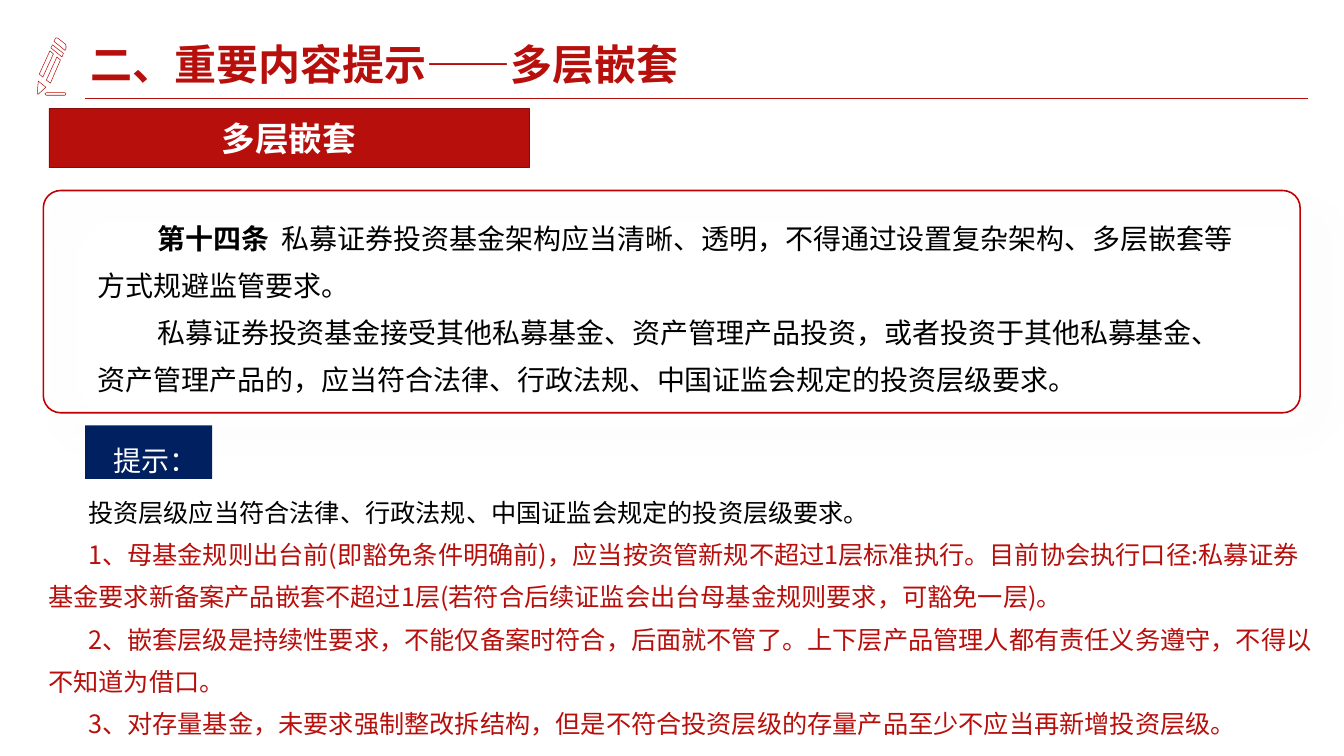
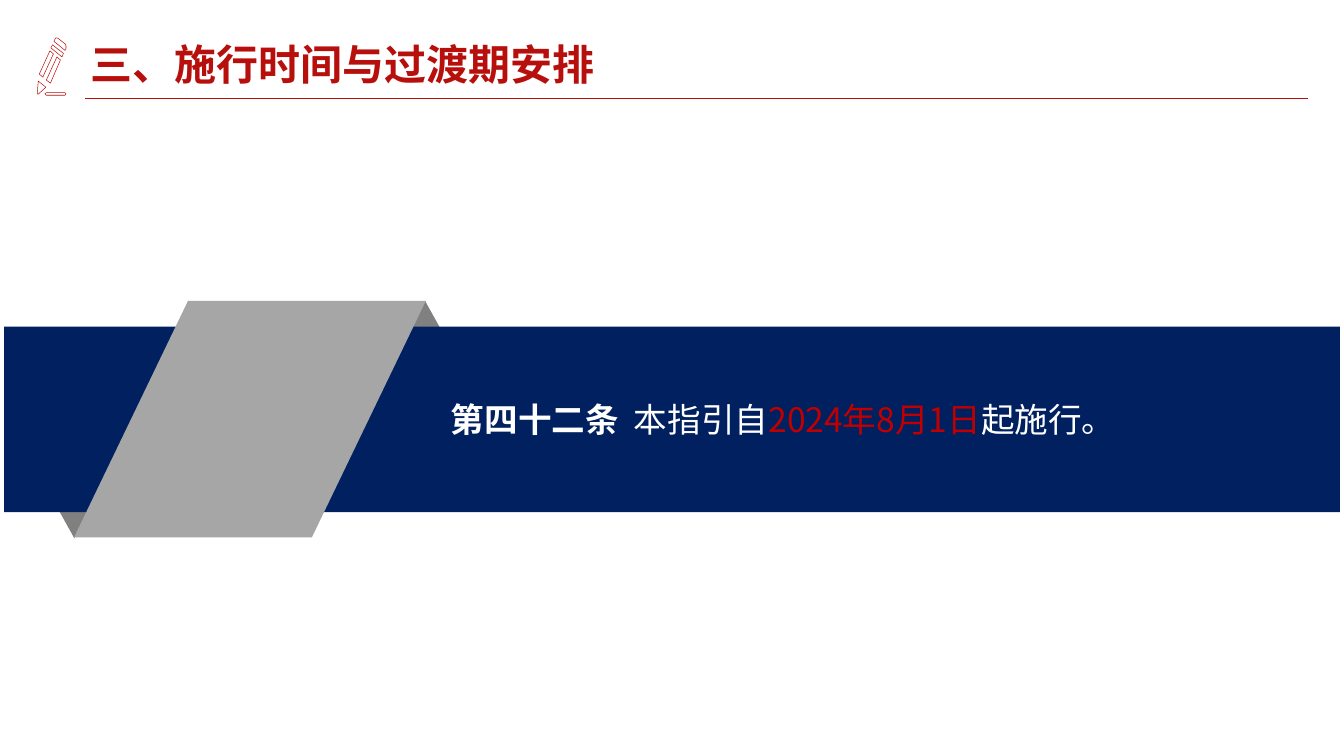
"""Build the two slides on fund nesting and the effective date."""
import dataclasses

import lxml.etree
import pptx
import pptx.dml.color
import pptx.enum.shapes
import pptx.enum.text
import pptx.oxml.ns
import pptx.util

SHAPE = pptx.enum.shapes.MSO_SHAPE
ALIGN = pptx.enum.text.PP_ALIGN
ANCHOR = pptx.enum.text.MSO_ANCHOR
AUTOFIT = pptx.enum.text.MSO_AUTO_SIZE

PENCIL = [
    [(92, 184), (129, 184), (131, 186), (129, 189), (92, 189), (89, 186)],
    [(92, 159), (113, 113), (120, 119), (100, 165)],
    [(78, 147), (99, 101), (106, 107), (85, 153)],
    [(74, 184), (76, 161), (91, 173), (77, 186), (75, 187)],
    [(104, 89), (101, 95), (123, 113), (126, 106)],
    [(109, 78), (111, 75), (115, 76), (129, 87), (131, 91), (131, 96), (129, 100), (107, 82)],
]


@dataclasses.dataclass(frozen=True)
class Theme:
    """Colours, fonts and type sizes shared by the slides."""
    red: str = "B70F0C"
    dark_red: str = "870B09"
    accent: str = "C00000"
    navy: str = "002060"
    grey: str = "A6A6A6"
    fold: str = "808080"
    white: str = "FFFFFF"
    black: str = "000000"
    cjk: str = "Noto Sans CJK SC"
    latin: str = "Arial"
    display: str = "Montserrat"
    title: int = 60
    heading: int = 48
    article: int = 40
    note: int = 36


@dataclasses.dataclass(frozen=True)
class Run:
    """A stretch of text in one style."""
    text: str
    size: int
    color: str
    bold: bool = False
    font: str = Theme.cjk


class Deck:
    """Holds the theme and the current slide and draws each kind of element."""
    PX = 9144

    def __init__(self, theme):
        self.theme = theme
        self.deck = pptx.Presentation()
        self.deck.slide_width, self.deck.slide_height = self.emu(2667, 1500)
        self.shapes = None

    def emu(self, *lengths):
        """Turn px into EMU."""
        return [pptx.util.Emu(length * self.PX) for length in lengths]

    def rgb(self, color):
        """Turn a hex string into a colour."""
        return pptx.dml.color.RGBColor.from_string(color)

    def start_slide(self, *title_runs):
        """Add a slide with the title, the pencil and the rule."""
        slide = self.deck.slides.add_slide(self.deck.slide_layouts[5])
        self.shapes = slide.shapes
        self.pencil()
        self.rule((2596, 195), (169, 195))
        title = self.shapes.title
        title.left, title.top, title.width, title.height = self.emu(169, 70, 2300, 124)
        self.fill_text(title, [title_runs], spacing=0.9, anchor=ANCHOR.MIDDLE)

    def start_group(self):
        """Send the following elements into a new group."""
        self.shapes = self.shapes.add_group_shape().shapes

    def paint(self, shape, fill=None, line=None, width=1):
        """Set fill and line and drop the theme shadow."""
        shape.shadow.inherit = False
        if fill:
            shape.fill.solid()
            shape.fill.fore_color.rgb = self.rgb(fill)
        else:
            shape.fill.background()
        if line:
            shape.line.color.rgb = self.rgb(line)
            shape.line.width = pptx.util.Pt(width)
        else:
            shape.line.fill.background()

    def pencil(self):
        """Draw the outlined pencil beside the title."""
        builder = self.shapes.build_freeform(*PENCIL[0][0], scale=float(self.PX))
        for number, outline in enumerate(PENCIL):
            if number:
                builder.move_to(*outline[0])
            builder.add_line_segments(outline[1:], close=True)
        self.paint(builder.convert_to_shape(), self.theme.white, self.theme.red, 0.75)

    def rule(self, start, end):
        """Draw a thin red line."""
        line = self.shapes.add_connector(
            pptx.enum.shapes.MSO_CONNECTOR.STRAIGHT, *self.emu(*start, *end))
        line.line.color.rgb = self.rgb(self.theme.red)
        line.line.width = pptx.util.Pt(0.75)
        lxml.etree.SubElement(line._element.spPr, pptx.oxml.ns.qn("a:effectLst"))

    def shape(self, kind, box, fill=None, line=None, width=1, adjust=None):
        """Draw a preset shape."""
        shape = self.shapes.add_shape(kind, *self.emu(*box))
        self.paint(shape, fill, line, width)
        if adjust is not None:
            shape.adjustments[0] = adjust
        return shape

    def soft_shadow(self, shape, blur, distance, alpha, angle):
        """Give a shape a black, blurred outer shadow."""
        qn = pptx.oxml.ns.qn
        effects = shape._element.spPr.find(qn("a:effectLst"))
        shadow = lxml.etree.SubElement(
            effects, qn("a:outerShdw"), blurRad=str(pptx.util.Pt(blur)),
            dist=str(pptx.util.Pt(distance)), dir=str(angle * 60000),
            algn="tl", rotWithShape="0")
        color = lxml.etree.SubElement(shadow, qn("a:srgbClr"), val=self.theme.black)
        lxml.etree.SubElement(color, qn("a:alpha"), val=str(alpha * 1000))

    def text(self, box, paragraphs, **layout):
        """Add a text box that grows with its text."""
        area = self.shapes.add_textbox(*self.emu(*box))
        self.fill_text(area, paragraphs, **layout)
        area.text_frame.auto_size = AUTOFIT.SHAPE_TO_FIT_TEXT

    def fill_text(self, shape, paragraphs, indent=0, spacing=1.0, align=ALIGN.LEFT,
                  anchor=ANCHOR.TOP):
        """Fill a shape with paragraphs made of runs."""
        frame = shape.text_frame
        frame.word_wrap = True
        frame.auto_size = AUTOFIT.NONE
        frame.vertical_anchor = anchor
        for number, runs in enumerate(paragraphs):
            paragraph = frame.add_paragraph() if number else frame.paragraphs[0]
            paragraph.alignment = align
            paragraph.line_spacing = spacing
            if indent:
                properties = paragraph._p.get_or_add_pPr()
                properties.set("marL", "0")
                properties.set("indent", str(indent * self.PX))
            for part in runs:
                self.add_run(paragraph, part)

    def add_run(self, paragraph, part):
        """Append one styled run."""
        run = paragraph.add_run()
        run.text = part.text
        run.font.size = pptx.util.Pt(part.size)
        run.font.bold = part.bold
        run.font.color.rgb = self.rgb(part.color)
        run.font.name = part.font
        lxml.etree.SubElement(run.font._element, pptx.oxml.ns.qn("a:ea"),
                              typeface=self.theme.cjk)


def nesting_slide(deck):
    """Build the slide on multi-layer nesting."""
    theme = deck.theme
    deck.start_slide(
        Run("二、重要内容提示——", theme.title, theme.red, True),
        Run("多层嵌套", theme.title, theme.red, True, theme.display))

    article_frame = deck.shape(SHAPE.ROUNDED_RECTANGLE, (86, 378, 2494, 441),
                               line=theme.accent, width=2.25, adjust=0.078)
    deck.soft_shadow(article_frame, 45, 38, 11, 45)
    deck.text((184, 408, 2289, 377), [
        [Run("第十四条  ", theme.article, theme.black, True),
         Run("私募证券投资基金架构应当清晰、透明，不得通过设置复杂架构、多层嵌套等方式规避监管要求。",
             theme.article, theme.black)],
        [Run("私募证券投资基金接受其他私募基金、资产管理产品投资，或者投资于其他私募基金、"
             "资产管理产品的，应当符合法律、行政法规、中国证监会规定的投资层级要求。",
             theme.article, theme.black)],
    ], indent=118, spacing=1.4)

    topic = deck.shape(SHAPE.RECTANGLE, (97, 215, 953, 118), theme.red, theme.dark_red)
    deck.fill_text(topic, [[Run("多层嵌套", theme.heading, theme.white, True, theme.latin)]],
                   align=ALIGN.CENTER, anchor=ANCHOR.MIDDLE)

    hint = deck.shape(SHAPE.RECTANGLE, (169, 844, 252, 106), theme.navy)
    deck.fill_text(hint, [[Run("提示：", theme.article, theme.white, font=theme.latin)]],
                   indent=47, spacing=1.5, anchor=ANCHOR.MIDDLE)

    requirement = "投资层级应当符合法律、行政法规、中国证监会规定的投资层级要求。"
    reminders = [
        "1、母基金规则出台前(即豁免条件明确前)，应当按资管新规不超过1层标准执行。"
        "目前协会执行口径:私募证券基金要求新备案产品嵌套不超过1层"
        "(若符合后续证监会出台母基金规则要求，可豁免一层)。",
        "2、嵌套层级是持续性要求，不能仅备案时符合，后面就不管了。"
        "上下层产品管理人都有责任义务遵守，不得以不知道为借口。",
        "3、对存量基金，未要求强制整改拆结构，但是不符合投资层级的存量产品至少不应当再新增投资层级。",
    ]
    deck.text((86, 957, 2544, 510),
              [[Run(requirement, theme.note, theme.black)]]
              + [[Run(reminder, theme.note, theme.red)] for reminder in reminders],
              indent=79, spacing=1.4)


def effective_date_slide(deck):
    """Build the slide on the effective date."""
    theme = deck.theme
    deck.start_slide(Run("三、施行时间与过渡期安排", theme.title, theme.red, True))
    deck.start_group()
    deck.shape(SHAPE.ISOSCELES_TRIANGLE, (724, 597, 239, 215), theme.fold)
    lower_fold = deck.shape(SHAPE.ISOSCELES_TRIANGLE, (28, 853, 239, 215), theme.fold)
    lower_fold.rotation = 180
    deck.shape(SHAPE.RECTANGLE, (8, 648, 2651, 368), theme.navy)
    deck.shape(SHAPE.PARALLELOGRAM, (147, 597, 698, 469), theme.grey, adjust=0.482)
    deck.text((885, 787, 1479, 91), [[
        Run("第四十二条", theme.heading, theme.white, True),
        Run("  本指引自", theme.heading, theme.white),
        Run("2024年8月1日", theme.heading, theme.accent),
        Run("起施行。", theme.heading, theme.white),
    ]])


def main():
    """Build and save the presentation."""
    deck = Deck(Theme())
    nesting_slide(deck)
    effective_date_slide(deck)
    deck.deck.save("out.pptx")


if __name__ == "__main__":
    main()
